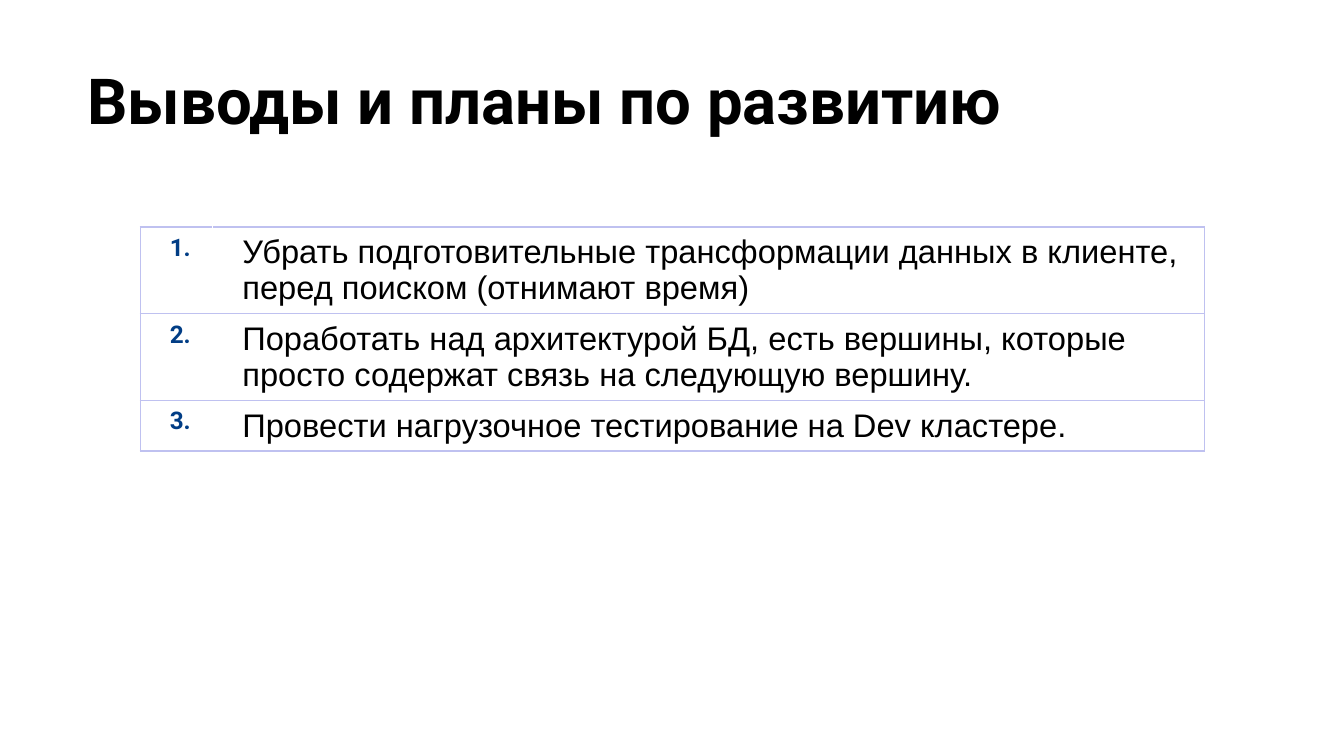
from dataclasses import dataclass

from lxml import etree
from pptx import Presentation
from pptx.dml.color import RGBColor
from pptx.enum import text
from pptx.oxml.ns import qn
from pptx.util import Cm, Pt

LILAC, WHITE, NAVY, BLACK = "BFC1F0", "FFFFFF", "013D85", "000000"


@dataclass
class Style:
    font: str
    size: float
    color: str
    bold: bool


@dataclass
class Column:
    width: float
    style: Style
    left_line: str
    right_line: str


TITLE = Style("Roboto", 34, BLACK, True)
COLUMNS = [
    Column(1.37, Style("Roboto", 13, NAVY, True), LILAC, WHITE),
    Column(18.75, Style("Arial", 17.5, BLACK, False), WHITE, LILAC),
]
PLANS = [
    "Убрать подготовительные трансформации данных в клиенте, перед поиском (отнимают время)",
    "Поработать над архитектурой БД, есть вершины, которые просто содержат связь на следующую вершину.",
    "Провести нагрузочное тестирование на Dev кластере.",
]
ROW_HEIGHT = 0.8


def rgb(value: str) -> RGBColor:
    return RGBColor.from_string(value)


def write(frame, words: str, style: Style) -> None:
    frame.text = words
    para = frame.paragraphs[0]
    para.alignment = text.PP_ALIGN.LEFT
    font = para.runs[0].font
    font.name, font.size, font.bold = style.font, Pt(style.size), style.bold
    font.color.rgb = rgb(style.color)


def set_borders(cell, colors: dict[str, str]) -> None:
    properties = cell._tc.get_or_add_tcPr()
    for position, (side, color) in enumerate(colors.items()):
        line = etree.Element(qn(f"a:ln{side}"), w=str(Pt(0.74)))
        fill = etree.SubElement(line, qn("a:solidFill"))
        etree.SubElement(fill, qn("a:srgbClr"), val=color)
        properties.insert(position, line)


def fill_cell(cell, words: str, column: Column) -> None:
    cell.margin_left, cell.margin_right = Cm(0.56), Cm(0.25)
    cell.margin_top = cell.margin_bottom = Cm(0.13)
    cell.vertical_anchor = text.MSO_ANCHOR.TOP
    write(cell.text_frame, words, column.style)
    cell.fill.background()
    set_borders(cell, {"L": column.left_line, "R": column.right_line, "T": LILAC, "B": LILAC})


deck = Presentation()
deck.slide_width, deck.slide_height = Cm(25.4), Cm(14.29)
page = deck.slides.add_slide(deck.slide_layouts[5])
page.background.fill.solid()
page.background.fill.fore_color.rgb = rgb(WHITE)

# Title
title = page.shapes.title
title.left, title.top, title.width, title.height = Cm(1.4), Cm(0.91), Cm(23.67), Cm(3.05)
frame = title.text_frame
frame.margin_left = frame.margin_right = frame.margin_top = frame.margin_bottom = Cm(0.25)
frame.vertical_anchor = text.MSO_ANCHOR.TOP
frame.auto_size = text.MSO_AUTO_SIZE.NONE
frame.word_wrap = True
write(frame, "Выводы и планы по развитию", TITLE)

# Numbered plans
total_width = sum(column.width for column in COLUMNS)
table = page.shapes.add_table(
    len(PLANS), len(COLUMNS), Cm(2.65), Cm(4.29), Cm(total_width), Cm(ROW_HEIGHT * len(PLANS))
).table
table.first_row = table.horz_banding = False
for index, column in enumerate(COLUMNS):
    table.columns[index].width = Cm(column.width)
for row, plan in enumerate(PLANS):
    table.rows[row].height = Cm(ROW_HEIGHT)
    for index, words in enumerate((f"{row + 1}.", plan)):
        fill_cell(table.cell(row, index), words, COLUMNS[index])

deck.save("out.pptx")
